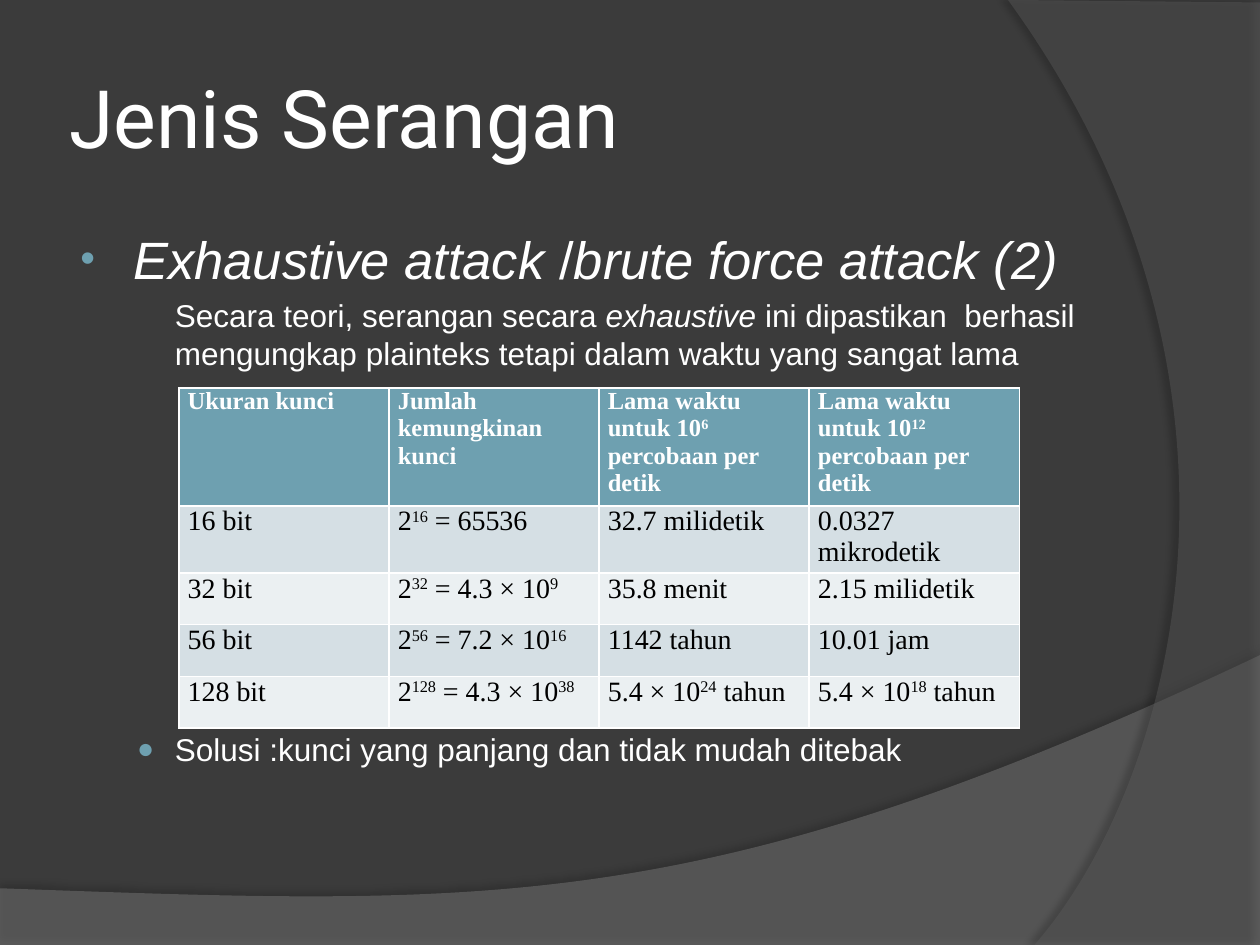
from lxml.etree import SubElement
from pptx import Presentation
from pptx.dml.color import RGBColor
from pptx.enum.text import MSO_ANCHOR
from pptx.oxml import parse_xml
from pptx.oxml.ns import nsdecls, qn
from pptx.util import Inches, Pt

WHITE = RGBColor(0xFF, 0xFF, 0xFF)
BLACK = RGBColor(0, 0, 0)
BACK = RGBColor(0x3B, 0x3B, 0x3B)
TEAL = RGBColor(0x6E, 0xA0, 0xB0)
BANDS = [RGBColor(0xD5, 0xDF, 0xE4), RGBColor(0xEB, 0xF0, 0xF2)]
ITALIC = ("i", "1")
RAISED = ("baseline", "30000")

TITLE = "Jenis Serangan"
BODY = [
    dict(text="|Exhaustive attack| /|brute force attack (2)|", size=30,
         left=0.46, hang=0.42, gap=0, mark=("•", 80)),
    dict(text="Secara teori, serangan secara |exhaustive |ini dipastikan  berhasil "
              "mengungkap plainteks tetapi dalam waktu yang sangat lama",
         size=18, left=0.79, hang=0, gap=3.5, mark=None),
    dict(text="Solusi :kunci yang panjang dan tidak mudah ditebak", size=18,
         left=0.79, hang=0.3, gap=205, mark=("●", 90)),
]
TABLE = [
    ["Ukuran kunci", "Jumlah kemungkinan kunci",
     "Lama waktu untuk 10|6| percobaan per detik",
     "Lama waktu untuk 10|12| percobaan per detik"],
    ["16 bit", "2|16| = 65536", "32.7 milidetik", "0.0327 mikrodetik"],
    ["32 bit", "2|32| = 4.3 × 10|9|", "35.8 menit", "2.15 milidetik"],
    ["56 bit", "2|56| = 7.2 × 10|16|", "1142 tahun", "10.01 jam"],
    ["128 bit", "2|128| = 4.3 × 10|38|", "5.4 × 10|24| tahun", "5.4 × 10|18| tahun"],
]
ROWS = [0.86, 0.49, 0.41, 0.41, 0.41]
SWOOPS = [
    dict(points=[(0, 7.05), (0, 7.5), (10, 7.5), (10, 5.2)],
         bend=[(5.59, 7.29), (3.91, 7.19)], end=(0, 7.05),
         color=RGBColor(0x7F, 0x7F, 0x7F), alpha=45, shade=(35, 4, 3.5, 270)),
    dict(points=[(10, 0.02), (10, 7.5), (8.21, 7.5)],
         bend=[(9.35, 6.19), (10.18, 3)], end=(8, 0),
         color=RGBColor(0x5E, 0x5E, 0x5E), alpha=40, shade=(45, 4, 4, 180)),
]


def add_swoop(shapes, points, bend, end, color, alpha, shade):
    nodes = [(x * 100, y * 100) for x, y in points + [end]]
    pen = shapes.build_freeform(*nodes[0], scale=Inches(0.01))
    pen.add_line_segments(nodes[1:], close=True)
    shape = pen.convert_to_shape()
    props = shape.element.spPr
    last = list(props.iter(qn("a:lnTo")))[len(points) - 1]
    last.tag = qn("a:cubicBezTo")
    left, top = (min(axis) for axis in zip(*nodes))
    for index, (x, y) in enumerate(bend):
        knot = parse_xml(f'<a:pt {nsdecls("a")} x="{round(x * 100 - left)}" '
                         f'y="{round(y * 100 - top)}"/>')
        last.insert(index, knot)
    shape.fill.solid()
    shape.fill.fore_color.rgb = color
    shape.line.fill.background()
    shape.shadow.inherit = False
    tint = props.find(qn("a:solidFill"))[0]
    SubElement(tint, qn("a:alpha"), val=str(alpha * 1000))
    dark, blur, dist, angle = shade
    props.find(qn("a:effectLst")).append(parse_xml(
        f'<a:outerShdw {nsdecls("a")} blurRad="{Pt(blur)}" dist="{Pt(dist)}" '
        f'dir="{angle * 60000}" algn="ctr" rotWithShape="0"><a:srgbClr val="000000">'
        f'<a:alpha val="{dark * 1000}"/></a:srgbClr></a:outerShdw>'))


def add_runs(para, text, font, size, color, bold=False, style=ITALIC):
    for index, part in enumerate(text.split("|")):
        if not part:
            continue
        run = para.add_run()
        run.text = part
        run.font.name, run.font.size, run.font.bold = font, Pt(size), bold
        run.font.color.rgb = color
        if index % 2:
            run._r.get_or_add_rPr().set(*style)


def set_list(para, left, hang, mark):
    props = para._p.get_or_add_pPr()
    props.set("marL", str(Inches(left)))
    props.set("indent", str(-Inches(hang)))
    if mark:
        sign, size = mark
        SubElement(SubElement(props, qn("a:buClr")), qn("a:srgbClr"), val=str(TEAL))
        SubElement(props, qn("a:buSzPct"), val=str(size * 1000))
        SubElement(props, qn("a:buFont"), typeface="Arial")
        SubElement(props, qn("a:buChar"), char=sign)
    else:
        SubElement(props, qn("a:buNone"))


def add_grid(shapes):
    frame = shapes.add_table(len(TABLE), len(TABLE[0]), Inches(1.42), Inches(3.08),
                             Inches(6.67), Inches(sum(ROWS)))
    grid = frame.table
    for y, texts in enumerate(TABLE):
        grid.rows[y].height = Inches(ROWS[y])
        head = y == 0
        for x, text in enumerate(texts):
            cell = grid.cell(y, x)
            cell.margin_left = cell.margin_right = Inches(0.07)
            cell.margin_top = cell.margin_bottom = 0
            cell.fill.solid()
            cell.fill.fore_color.rgb = TEAL if head else BANDS[(y - 1) % 2]
            add_runs(cell.text_frame.paragraphs[0], text, "Times New Roman",
                     14 if head else 16, WHITE if head else BLACK, head, RAISED)


def add_body(shapes):
    box = shapes.add_textbox(Inches(0.5), Inches(1.75), Inches(8.42), Inches(4.95))
    frame = box.text_frame
    frame.word_wrap = True
    for index, item in enumerate(BODY):
        para = frame.add_paragraph() if index else frame.paragraphs[0]
        para.space_before = Pt(item["gap"])
        set_list(para, item["left"], item["hang"], item["mark"])
        add_runs(para, item["text"], "Arial", item["size"], WHITE)


def set_title(title):
    title.left, title.top = Inches(0.5), Inches(0.3)
    title.width, title.height = Inches(8.17), Inches(1.25)
    frame = title.text_frame
    frame.vertical_anchor = MSO_ANCHOR.MIDDLE
    frame.margin_left = frame.margin_right = Inches(0.05)
    frame.margin_top = frame.margin_bottom = Inches(0.05)
    para = frame.paragraphs[0]
    para._p.get_or_add_pPr().set("algn", "l")
    add_runs(para, TITLE, "Roboto", 46, WHITE)


def main():
    deck = Presentation()
    deck.slide_width, deck.slide_height = Inches(10), Inches(7.5)
    slide = deck.slides.add_slide(deck.slide_layouts[5])
    slide.background.fill.solid()
    slide.background.fill.fore_color.rgb = BACK
    shapes = slide.shapes
    for swoop in SWOOPS:
        add_swoop(shapes, **swoop)
    title = shapes.title
    set_title(title)
    title.element.getparent().append(title.element)
    add_body(shapes)
    add_grid(shapes)
    deck.save("out.pptx")


if __name__ == "__main__":
    main()
